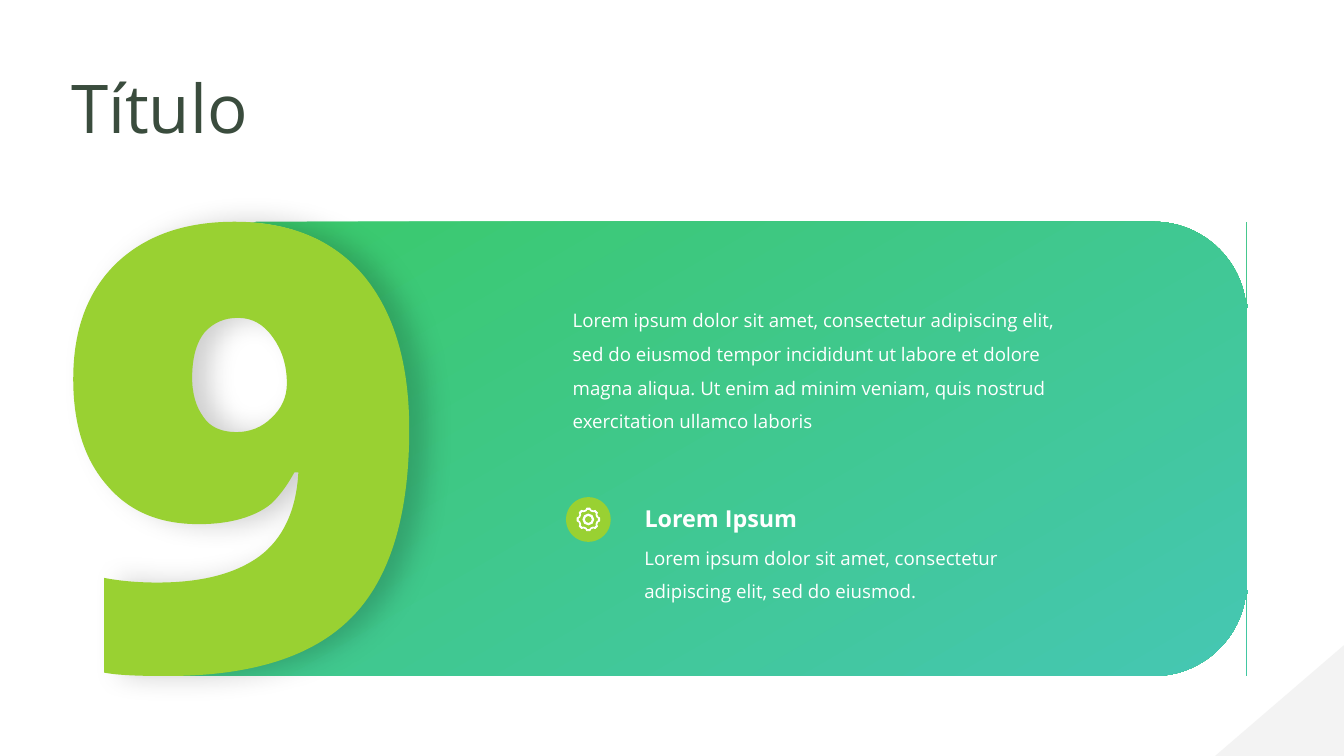
import math
from dataclasses import dataclass

import pptx
import pptx.dml.color
import pptx.enum.shapes
import pptx.enum.text
import pptx.oxml
import pptx.oxml.ns
import pptx.util

Pt = pptx.util.Pt
SHAPES = pptx.enum.shapes.MSO_SHAPE


@dataclass(frozen=True)
class Theme:
    font: str = "Open Sans"
    lime: str = "99D132"
    green: str = "3AC96A"
    teal: str = "45C7B1"
    white: str = "FFFFFF"
    dark: str = "3A4C3D"
    grey: str = "E8E8E8"
    shadow: str = "000000"
    title_size: float = 72
    heading_size: float = 25
    body_size: float = 20


# Contours in points: the start, then a pair for a line or six numbers for a cubic curve
TOP, BOTTOM, RIGHT, RADIUS = 237.6, 724.3, 1335.6, 99.4
CORNER, HANDLE = RIGHT - RADIUS, RADIUS * 0.45
NINE_START = (251.3, TOP)
NINE_BACK = [
    (311, TOP, 357.1, 257, 389.5, 295.2),
    (421.9, 334.1, 438.5, 388.8, 438.5, 460.1),
    (438.5, 553, 417.6, 620.6, 376.6, 661.7),
    (335.5, 703.4, 270, BOTTOM, 179.3, BOTTOM),
]
NINE_FRONT = [
    (149.8, BOTTOM, 126.7, 723.6, 111.6, 720.7),
    (111.6, 619.2),
    (130.3, 622.8, 149.8, 624.2, 168.5, 624.2),
    (216, 624.2, 252, 614.9, 277.9, 596.2),
    (303.1, 577.4, 317.5, 547.2, 319.7, 506.2),
    (315.4, 506.2),
    (306.7, 522, 298.1, 532.8, 290.2, 540),
    (281.5, 547.2, 270.7, 552.2, 258.5, 555.8),
    (246.2, 559.4, 231.1, 561.6, 213.1, 561.6),
    (170.6, 561.6, 138.2, 547.9, 114.5, 519.8),
    (90.7, 492.5, 78.5, 455, 78.5, 406.1),
    (78.5, 353.5, 93.6, 312.5, 124.6, 282.2),
    (155.5, 252.7, 197.3, TOP, *NINE_START),
]
HOLE_START = (254.9, 340.6)
NINE_HOLE = [
    (240.5, 340.6, 229, 345.6, 219.6, 355.7),
    (211, 365.8, 205.9, 382.3, 205.9, 404.6),
    (205.9, 422.6, 210.2, 436.3, 218.2, 447.1),
    (225.4, 457.9, 237.6, 463, 253.4, 463),
    (267.8, 463, 280.8, 457.9, 290.9, 447.8),
    (301.7, 437.8, 307.4, 425.5, 307.4, 411.1),
    (307.4, 391.7, 302.4, 375.1, 292.3, 361.4),
    (282.2, 347, 270, 340.6, *HOLE_START),
]
# The panel has rounded right corners and a thin full-height edge
PANEL_RIGHT = [
    (CORNER, BOTTOM),
    (RIGHT - HANDLE, BOTTOM, RIGHT, BOTTOM - HANDLE, RIGHT, BOTTOM - RADIUS),
    (RIGHT, BOTTOM),
    (RIGHT, TOP),
    (RIGHT, TOP + RADIUS),
    (RIGHT, TOP + HANDLE, RIGHT - HANDLE, TOP, CORNER, TOP),
]


def polar(center, radius, degrees):
    angle = math.radians(degrees)
    return center[0] + radius * math.cos(angle), center[1] + radius * math.sin(angle)


def ring(center, radius):
    """A circle of four cubic curves."""
    reach, tilt = radius * math.hypot(1, 0.55), math.degrees(math.atan(0.55))
    curves = [(*polar(center, reach, start + tilt), *polar(center, reach, start + 90 - tilt),
               *polar(center, radius, start + 90)) for start in range(0, 360, 90)]
    return [polar(center, radius, 0), *curves]


def gear(center, tip, root, teeth=8):
    pitch = 360 / teeth
    corners = ((root, -14), (tip, -8), (tip, 8), (root, 14))
    return [polar(center, radius, tooth * pitch + offset)
            for tooth in range(teeth) for radius, offset in corners]


class SlideBuilder:
    def __init__(self, slide, theme):
        self.slide = slide
        self.theme = theme

    def color(self, value):
        return pptx.dml.color.RGBColor.from_string(value)

    def paint(self, shape, color):
        shape.shadow.inherit = False
        shape.line.fill.background()
        if color:
            shape.fill.solid()
            shape.fill.fore_color.rgb = self.color(color)
        return shape

    def preset(self, kind, box, color):
        shape = self.slide.shapes.add_shape(kind, *map(Pt, box))
        return self.paint(shape, color)

    def outline(self, contours, color=None):
        builder = None
        for start, *segments in contours:
            start = tuple(map(Pt, start))
            if builder is None:
                builder = self.slide.shapes.build_freeform(*start, scale=1.0)
            else:
                builder.move_to(*start)
            points = [(Pt(x), Pt(y)) for segment in segments
                      for x, y in zip(segment[::2], segment[1::2])]
            builder.add_line_segments(points, close=True)
        shape = builder.convert_to_shape()
        self.bend(shape, [segment for contour in contours for segment in contour[1:]])
        return self.paint(shape, color)

    def bend(self, shape, segments):
        """Join the three points of each curve into one cubic element."""
        lines = iter(list(shape._element.iter(pptx.oxml.ns.qn("a:lnTo"))))
        for segment in segments:
            group = [next(lines) for _ in range(len(segment) // 2)]
            if len(group) == 3:
                curve = pptx.oxml.parse_xml(
                    f'<a:cubicBezTo {pptx.oxml.ns.nsdecls("a")}/>')
                group[0].addprevious(curve)
                for line in group:
                    curve.append(line[0])
                    line.getparent().remove(line)

    def gradient(self, shape, stops, angle):
        shape.fill.gradient()
        shape.fill.gradient_angle = 360 - angle
        for stop, (position, color) in zip(shape.fill.gradient_stops, stops):
            stop.position = position
            stop.color.rgb = self.color(color)

    def drop_shadow(self, shape, opacity, blur, distance):
        effects = shape._element.spPr.find(pptx.oxml.ns.qn("a:effectLst"))
        effects.append(pptx.oxml.parse_xml(
            f'<a:outerShdw {pptx.oxml.ns.nsdecls("a")} blurRad="{Pt(blur)}" '
            f'dist="{Pt(distance)}" dir="0" algn="l" rotWithShape="0">'
            f'<a:srgbClr val="{self.theme.shadow}"><a:alpha val="{opacity * 1000}"/>'
            '</a:srgbClr></a:outerShdw>'))

    def transparency(self, shape, opacity):
        color = shape._element.spPr.find(".//" + pptx.oxml.ns.qn("a:srgbClr"))
        color.append(pptx.oxml.parse_xml(
            f'<a:alpha {pptx.oxml.ns.nsdecls("a")} val="{opacity * 1000}"/>'))

    def text(self, box, words, size, color, bold=False, spacing=None):
        frame = self.slide.shapes.add_textbox(*map(Pt, box)).text_frame
        frame.word_wrap = True
        frame.auto_size = pptx.enum.text.MSO_AUTO_SIZE.SHAPE_TO_FIT_TEXT
        paragraph = frame.paragraphs[0]
        paragraph.text = words
        paragraph.line_spacing = spacing
        font = paragraph.font
        font.name, font.size, font.bold = self.theme.font, Pt(size), bold
        font.color.rgb = self.color(color)


def main():
    presentation = pptx.Presentation()
    presentation.slide_width, presentation.slide_height = Pt(1440), Pt(810)
    theme = Theme()
    builder = SlideBuilder(presentation.slides.add_slide(presentation.slide_layouts[6]), theme)

    # Gradient panel and large nine
    panel = builder.outline([[NINE_START, *NINE_BACK, *PANEL_RIGHT]])
    builder.gradient(panel, [(0.02, theme.green), (0.98, theme.teal)], 60)
    nine = builder.outline([[NINE_START, *NINE_BACK, *NINE_FRONT],
                            [HOLE_START, *NINE_HOLE]], theme.lime)
    builder.drop_shadow(nine, 19, 29, 18)

    # Item with gear badge
    builder.text((683.3, 570.2, 482.4, 75.6),
                 "Lorem ipsum dolor sit amet, consectetur adipiscing elit, sed do eiusmod.",
                 theme.body_size, theme.white, spacing=1.5)
    builder.text((683.5, 536.4, 218.9, 37.4), "Lorem Ipsum",
                 theme.heading_size, theme.white, bold=True)
    center = (630.4, 556.6)
    builder.outline([ring(center, 24)], theme.lime)
    icon = builder.outline([gear(center, 12.2, 10.5), gear(center, 10.9, 9.6),
                            ring(center, 5.8), ring(center, 4.3)], theme.white)
    icon.line.color.rgb = builder.color(theme.white)
    icon.line.width = Pt(1)

    # Introduction and title
    builder.text((606.5, 315.8, 532.8, 149),
                 "Lorem ipsum dolor sit amet, consectetur adipiscing elit, sed do eiusmod tempor "
                 "incididunt ut labore et dolore magna aliqua. Ut enim ad minim veniam, quis "
                 "nostrud exercitation ullamco laboris",
                 theme.body_size, theme.white, spacing=1.5)
    builder.text((69.1, 67.7, 362.9, 94.3), "Título", theme.title_size, theme.dark)

    # Corner decoration
    triangle = builder.preset(SHAPES.ISOSCELES_TRIANGLE, (1301.8, 691.2, 138.2, 118.8), theme.grey)
    triangle.adjustments[0] = 1
    builder.transparency(triangle, 50)

    presentation.save("out.pptx")


if __name__ == "__main__":
    main()
